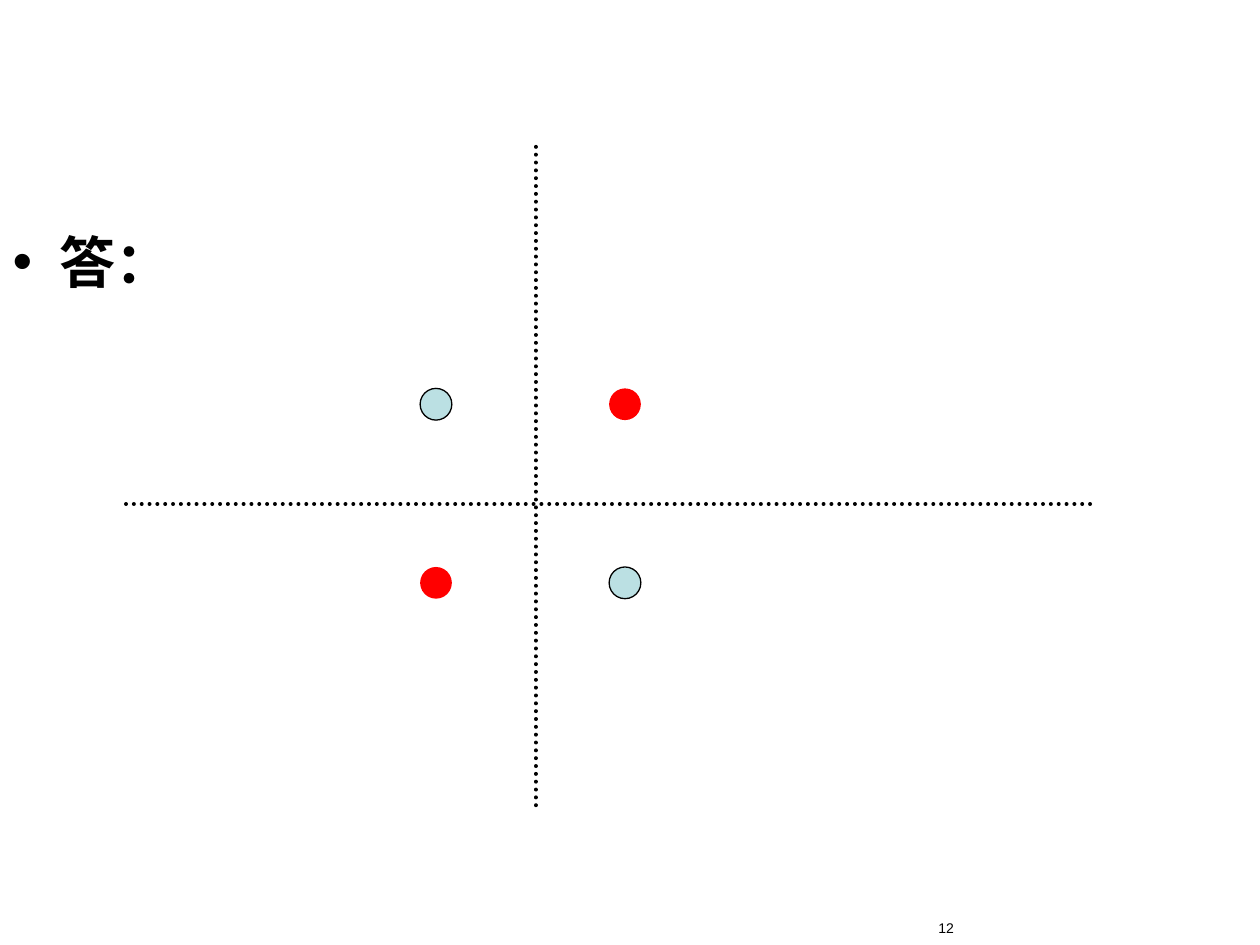
import dataclasses
import itertools

import lxml.etree
import pptx
import pptx.dml.color
import pptx.enum.dml
import pptx.enum.shapes
import pptx.enum.text
import pptx.oxml.ns
import pptx.util
from pptx.util import Cm


@dataclasses.dataclass(frozen=True)
class Theme:
    font: str = "Arial"
    ink: str = "000000"
    pale: str = "BBE0E3"
    red: str = "FF0000"
    answer_size: int = 32
    number_size: int = 8
    outline: float = 0.75
    axis: float = 2.25


THEME = Theme()
DOT_SIZE = 0.64
DOT_COLUMNS = (8.47, 12.28)
DOT_ROWS = (7.83, 11.43)


def rgb(value):
    return pptx.dml.color.RGBColor.from_string(value)


def add_element(parent, tag, **attributes):
    return lxml.etree.SubElement(parent, pptx.oxml.ns.qn(tag), attributes)


def add_bullet(para, indent):
    properties = para._p.get_or_add_pPr()
    properties.set("marL", str(Cm(indent)))
    properties.set("indent", str(-Cm(indent)))
    colour = add_element(properties, "a:buClr")
    add_element(colour, "a:srgbClr", val=THEME.ink)
    add_element(properties, "a:buFont", typeface=THEME.font)
    add_element(properties, "a:buChar", char="•")


def write_text(box, text, *, size, bold=False, align=None, bullet_indent=None):
    frame = box.text_frame
    frame.word_wrap = True
    frame.auto_size = pptx.enum.text.MSO_AUTO_SIZE.NONE
    frame.vertical_anchor = pptx.enum.text.MSO_ANCHOR.TOP
    para = frame.paragraphs[0]
    para.alignment = align
    para.space_before = pptx.util.Pt(0)
    if bullet_indent is not None:
        add_bullet(para, bullet_indent)
    span = para.add_run()
    span.text = text
    span.font.name = THEME.font
    span.font.size = pptx.util.Pt(size)
    span.font.bold = bold
    span.font.color.rgb = rgb(THEME.ink)


def place(shape, left, top, width, height):
    shape.left, shape.top = Cm(left), Cm(top)
    shape.width, shape.height = Cm(width), Cm(height)


def add_dot(page, left, top, fill, outlined):
    dot = page.shapes.add_shape(
        pptx.enum.shapes.MSO_SHAPE.OVAL,
        Cm(left), Cm(top), Cm(DOT_SIZE), Cm(DOT_SIZE))
    dot.shadow.inherit = False
    dot.fill.solid()
    dot.fill.fore_color.rgb = rgb(fill)
    if outlined:
        dot.line.color.rgb = rgb(THEME.ink)
        dot.line.width = pptx.util.Pt(THEME.outline)
    else:
        dot.line.fill.background()


def add_axis(page, *ends):
    """Draw a dotted line between ends x1, y1, x2, y2."""
    axis = page.shapes.add_connector(
        pptx.enum.shapes.MSO_CONNECTOR.STRAIGHT, *map(Cm, ends))
    axis.line.color.rgb = rgb(THEME.ink)
    axis.line.width = pptx.util.Pt(THEME.axis)
    axis.line.dash_style = pptx.enum.dml.MSO_LINE.ROUND_DOT
    axis.line._get_or_add_ln().set("cap", "rnd")
    add_element(axis._element.spPr, "a:effectLst")


def main():
    deck = pptx.Presentation()
    deck.slide_width, deck.slide_height = Cm(25.4), Cm(19.05)
    page = deck.slides.add_slide(deck.slide_layouts.get_by_name("Title and Content"))
    title = page.shapes.title._element
    title.getparent().remove(title)

    number = page.shapes.add_textbox(Cm(17.15), Cm(18.42), Cm(2.33), Cm(0.64))
    write_text(number, "12", size=THEME.number_size,
               align=pptx.enum.text.PP_ALIGN.RIGHT)
    answer = page.placeholders[1]
    place(answer, 0, 4.45, 22.86, 12.9)
    write_text(answer, "答：", size=THEME.answer_size, bold=True, bullet_indent=0.95)

    for (column, left), (row, top) in itertools.product(
            enumerate(DOT_COLUMNS), enumerate(DOT_ROWS)):
        pale = column == row
        add_dot(page, left, top, THEME.pale if pale else THEME.red, outlined=pale)

    add_axis(page, 2.54, 10.16, 22.01, 10.16)
    add_axis(page, 10.8, 2.96, 10.8, 16.3)
    deck.save("out.pptx")


if __name__ == "__main__":
    main()
